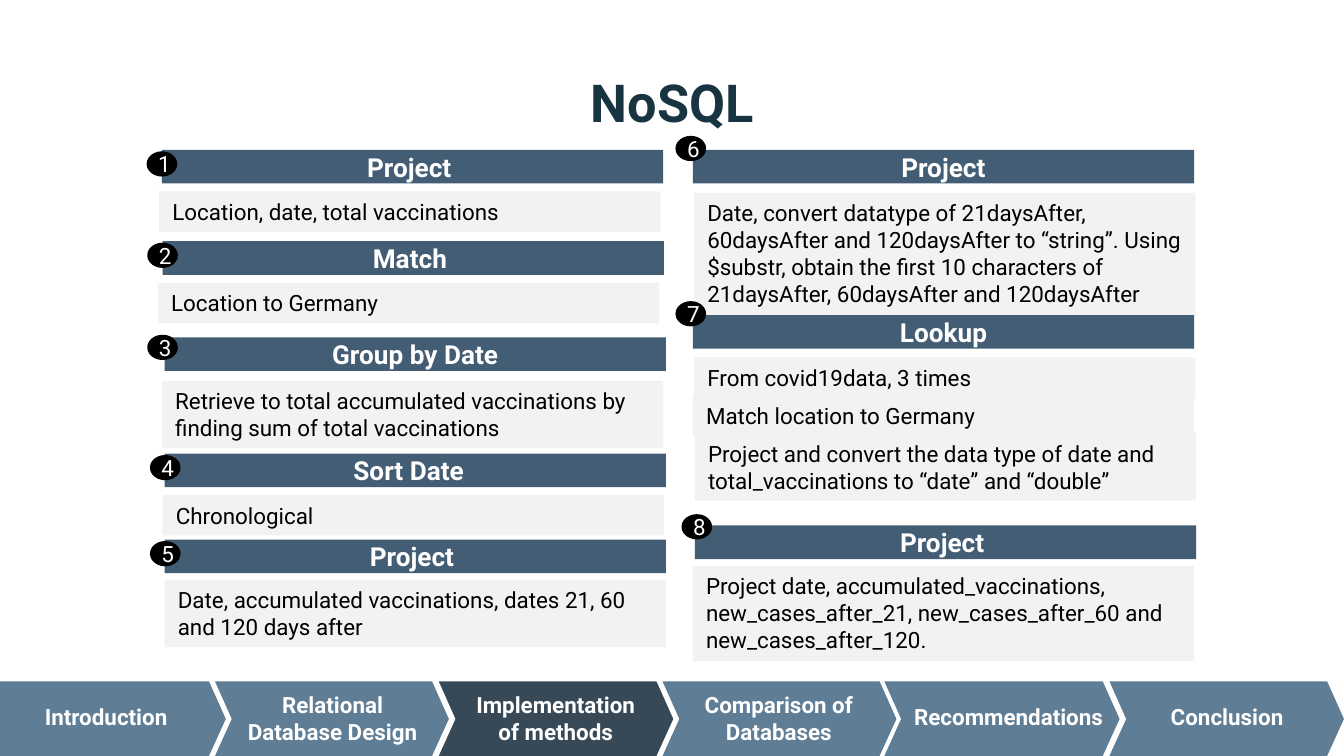
"""Build the NoSQL pipeline slide with its eight steps and chapter navigation."""
import pptx
import pptx.dml.color
import pptx.enum.shapes
import pptx.enum.text
import pptx.util

PX = 4572
THEME = {
    "font": "Roboto",
    "white": "FFFFFF", "black": "000000", "title": "193441",
    "heading": "435D74", "body": "F2F2F2",
    "chapter": "5F7D95", "current": "374957",
    "title_size": 28, "heading_size": 14, "text_size": 12,
}
ALIGN = pptx.enum.text.PP_ALIGN
ANCHOR = pptx.enum.text.MSO_ANCHOR
SHAPE = pptx.enum.shapes.MSO_SHAPE


def write(box, text, size, colour, bold=False, align=ALIGN.CENTER,
          anchor=ANCHOR.TOP, inset_y=10):
    frame = box.text_frame
    frame.auto_size = pptx.enum.text.MSO_AUTO_SIZE.NONE
    frame.word_wrap = True
    frame.vertical_anchor = anchor
    frame.margin_left = frame.margin_right = 20 * PX
    frame.margin_top = frame.margin_bottom = inset_y * PX
    para = frame.paragraphs[0]
    para.text = text
    para.alignment = align
    para.font.name = THEME["font"]
    para.font.size = pptx.util.Pt(THEME[size])
    para.font.bold = bold
    para.font.color.rgb = pptx.dml.color.RGBColor.from_string(THEME[colour])


def paint(shape, colour):
    shape.shadow.inherit = False
    shape.fill.solid()
    shape.fill.fore_color.rgb = pptx.dml.color.RGBColor.from_string(THEME[colour])
    shape.line.fill.background()


deck = pptx.Presentation()
deck.slide_width, deck.slide_height = 2000 * PX, 1125 * PX
page = deck.slides.add_slide(deck.slide_layouts[5])

title = page.shapes.title
title.left, title.top, title.width, title.height = 174 * PX, 84 * PX, 1652 * PX, 126 * PX
write(title, "NoSQL", "title_size", "title", bold=True, inset_y=20)

# label, arrow left, arrow tip, notch depth, label left, label top, label width
chapters = [
    ("Introduction", 0, 336, 0, 9, 1027, 298),
    ("Relational Database Design", 320, 668, 25, 346, 1009, 298),
    ("Implementation of methods", 653, 1002, 25, 678, 1009, 298),
    ("Comparison of Databases", 986, 1334, 25, 1010, 1009, 298),
    ("Recommendations", 1316, 1666, 25, 1326, 1026, 350),
    ("Conclusion", 1651, 2000, 25, 1677, 1027, 298),
]
for label, left, tip, notch, label_left, label_top, label_width in chapters:
    outline = page.shapes.build_freeform(left, 1014, scale=PX)
    outline.add_line_segments(
        [(left + notch, 1070), (left, 1125), (tip - 25, 1125), (tip, 1070), (tip - 25, 1014)])
    arrow = outline.convert_to_shape()
    paint(arrow, "current" if label.startswith("Implementation") else "chapter")
    box = page.shapes.add_textbox(label_left * PX, label_top * PX, label_width * PX, 88 * PX)
    write(box, label, "text_size", "white", bold=True, inset_y=20)

# heading, heading position, badge position, bodies as (left, top, height, text)
steps = [
    ("Project ", (241, 223), (221, 228),
     [(237, 285, 60, "Location, date, total vaccinations")]),
    ("Match ", (242, 359), (222, 364),
     [(235, 421, 60, "Location to Germany")]),
    ("Group by Date", (245, 502), (222, 501),
     [(241, 567, 100, "Retrieve to total accumulated vaccinations by "
                      "finding sum of total vaccinations")]),
    ("Sort Date  ", (245, 675), (226, 680),
     [(242, 737, 60, "Chronological")]),
    ("Project ", (245, 803), (226, 808),
     [(245, 863, 100, "Date, accumulated vaccinations, dates 21, 60 and 120 days after")]),
    ("Project", (1031, 223), (1008, 205),
     [(1033, 287, 182, "Date, convert datatype of 21daysAfter, 60daysAfter and 120daysAfter "
                       "to “string”. Using $substr, obtain the first 10 characters of "
                       "21daysAfter, 60daysAfter and 120daysAfter")]),
    ("Lookup", (1031, 469), (1008, 451),
     [(1033, 532, 60, "From covid19data, 3 times"),
      (1031, 589, 60, "Match location to Germany"),
      (1034, 645, 100, "Project and convert the data type of date and "
                       "total_vaccinations to “date” and “double”")]),
    ("Project ", (1034, 782), (1017, 768),
     [(1031, 842, 142, "Project date, accumulated_vaccinations, new_cases_after_21, "
                       "new_cases_after_60 and new_cases_after_120.")]),
]
for number, (heading, (left, top), (badge_left, badge_top), bodies) in enumerate(steps, 1):
    bar = page.shapes.add_shape(SHAPE.RECTANGLE, left * PX, top * PX, 746 * PX, 50 * PX)
    paint(bar, "heading")
    write(bar, heading, "heading_size", "white", bold=True, anchor=ANCHOR.MIDDLE)

    for body_left, body_top, height, text in bodies:
        body = page.shapes.add_shape(
            SHAPE.RECTANGLE, body_left * PX, body_top * PX, 746 * PX, height * PX)
        paint(body, "body")
        write(body, text, "text_size", "black", align=ALIGN.LEFT)

    badge = page.shapes.add_shape(
        SHAPE.OVAL, badge_left * PX, badge_top * PX, 40 * PX, 32 * PX)
    paint(badge, "black")
    badge.line.color.rgb = pptx.dml.color.RGBColor.from_string(THEME["black"])
    badge.line.width = pptx.util.Pt(2)
    write(badge, str(number), "text_size", "white", anchor=ANCHOR.MIDDLE)

deck.save("out.pptx")
